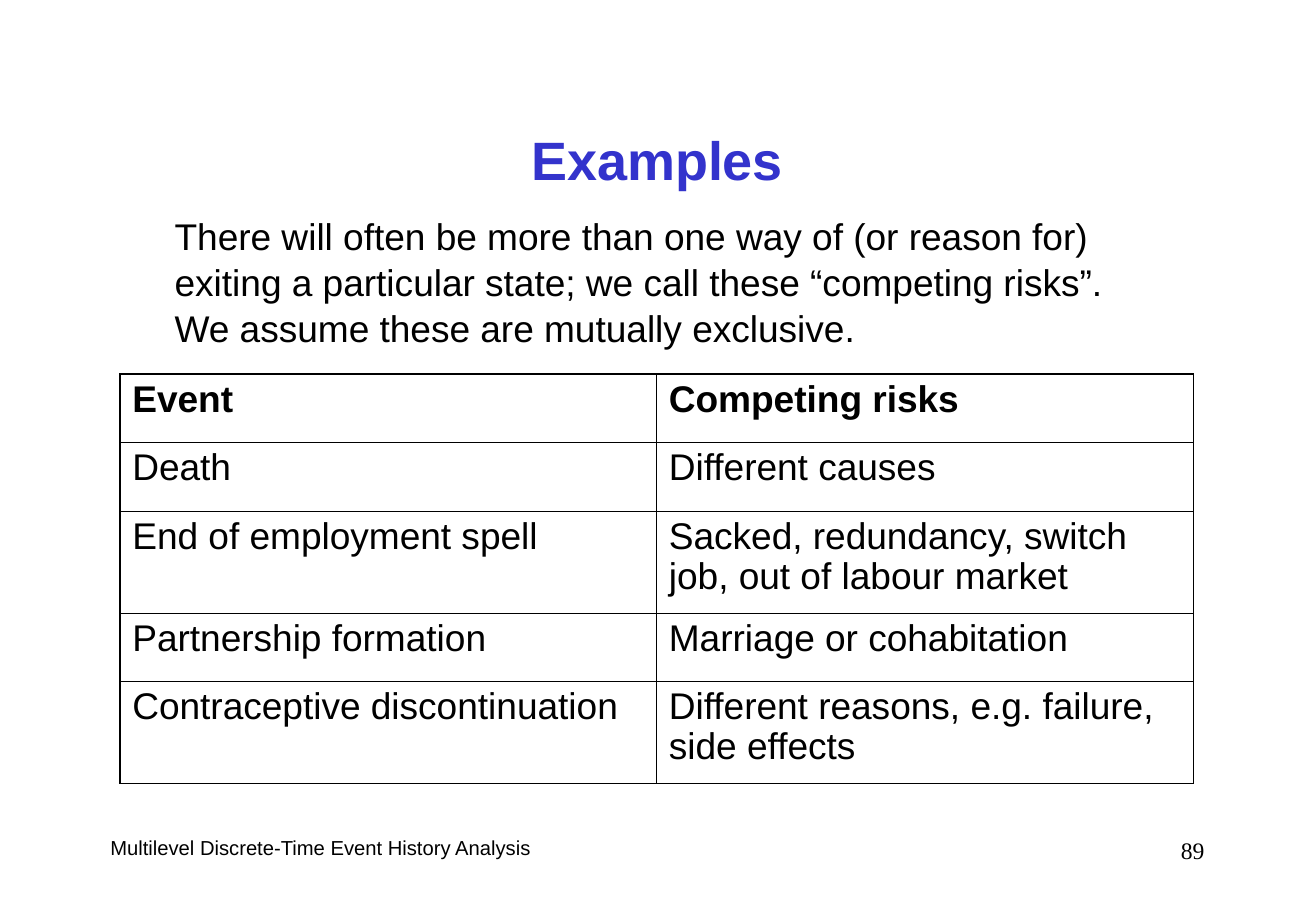
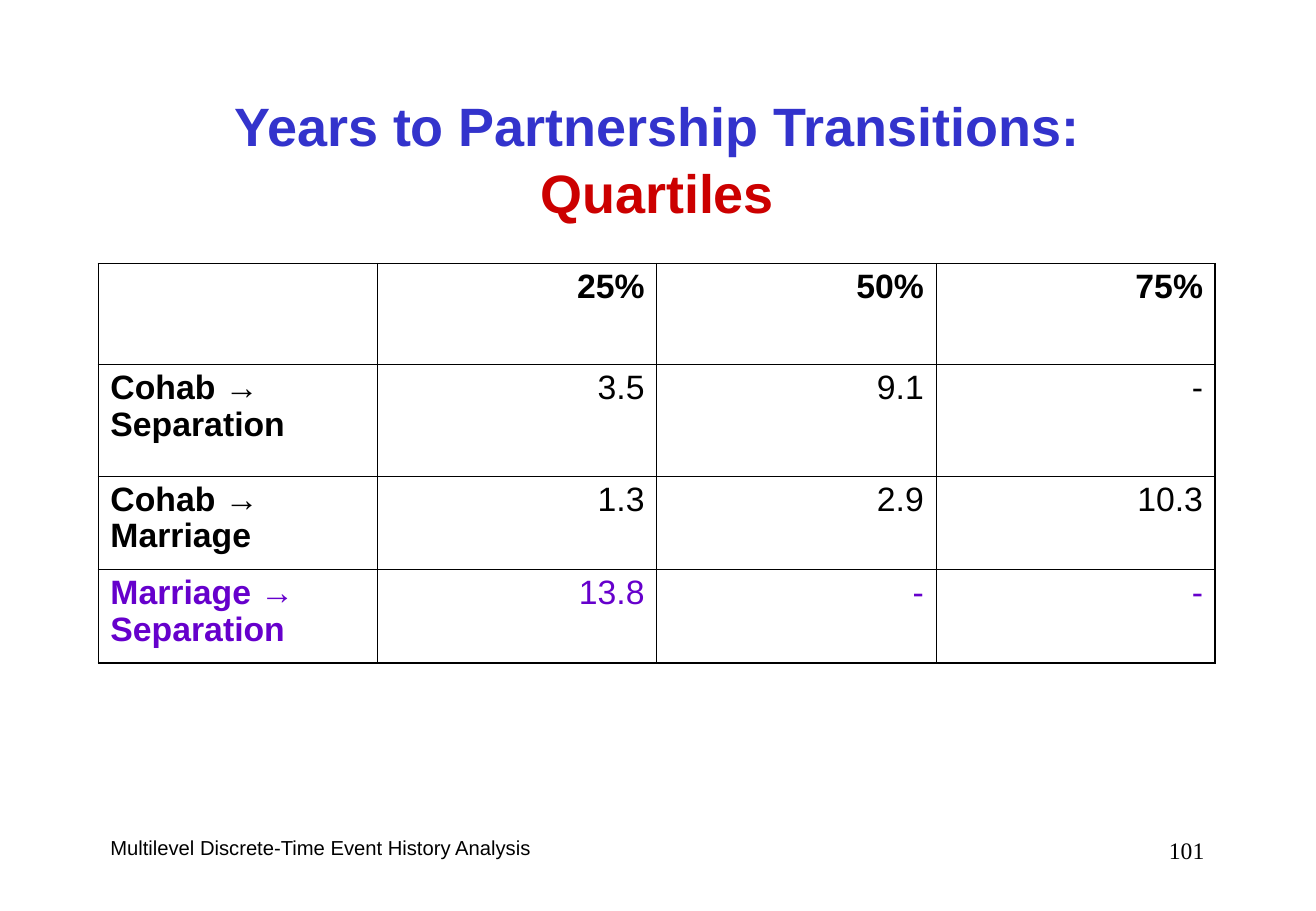
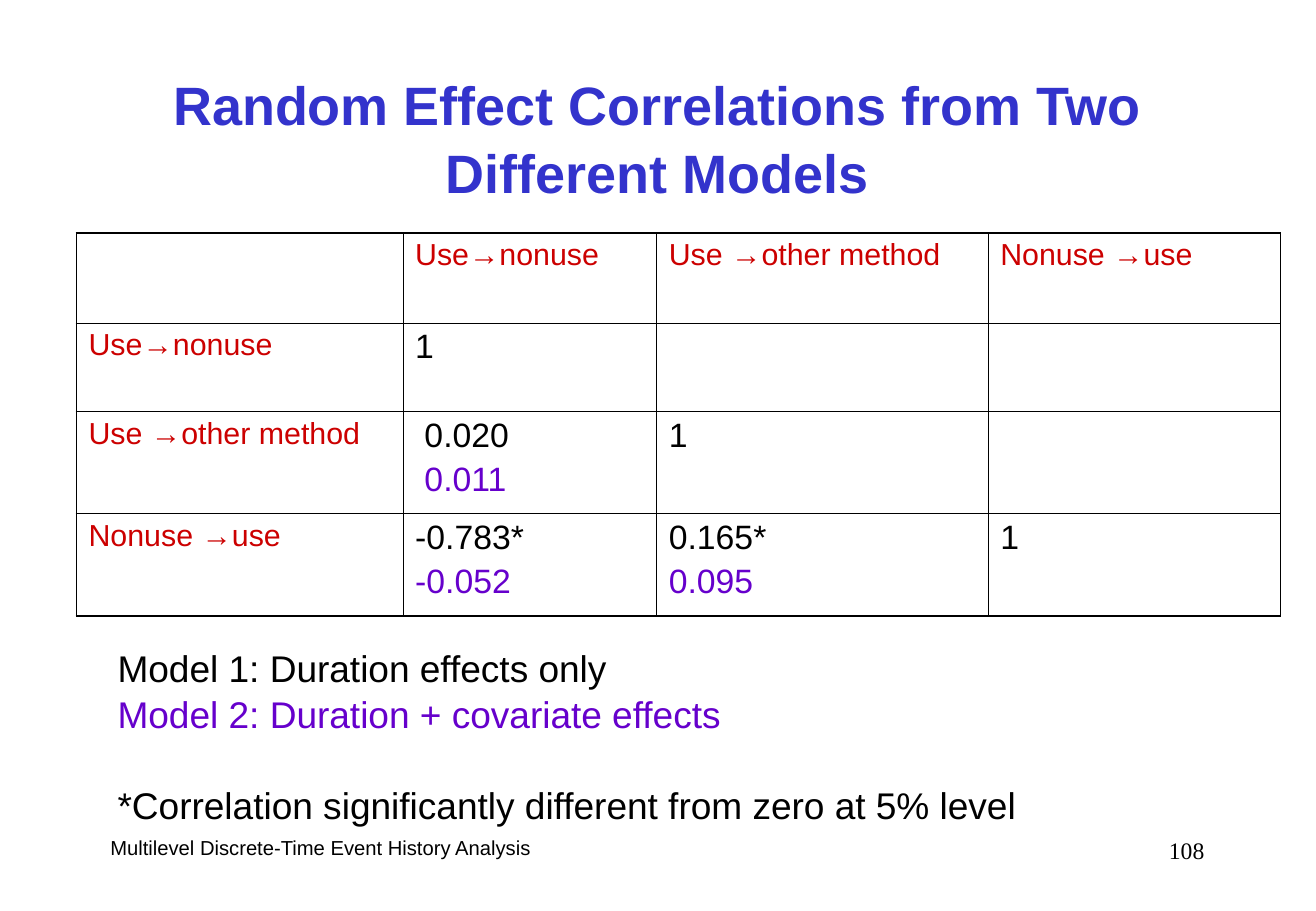
from collections.abc import Callable
from dataclasses import dataclass

from lxml import etree
from pptx import Presentation
from pptx.dml.color import RGBColor
from pptx.enum.text import MSO_ANCHOR, MSO_AUTO_SIZE, PP_ALIGN
from pptx.oxml.ns import qn
from pptx.slide import Slide
from pptx.table import _Cell
from pptx.text.text import TextFrame, _Paragraph
from pptx.util import Inches, Pt

LEFT, CENTER, RIGHT = PP_ALIGN.LEFT, PP_ALIGN.CENTER, PP_ALIGN.RIGHT
MIDDLE = MSO_ANCHOR.MIDDLE
NO_FIT = MSO_AUTO_SIZE.NONE

COLORS = {"black": "000000", "blue": "3333CC", "red": "CC0000", "violet": "6600CC"}
FOOTER = "Multilevel Discrete-Time Event History Analysis"
THIN, THICK = Pt(0.45), Pt(1.08)
TITLE_ONLY = 5


@dataclass(frozen=True)
class Style:
    size: float
    color: str = "black"
    bold: bool = False
    align: PP_ALIGN = LEFT
    font: str = "Arial"
    before: float = 0
    spacing: float = 1.0


@dataclass(frozen=True)
class Line:
    text: str
    style: Style


@dataclass(frozen=True)
class Box:
    left: float
    top: float
    width: float
    height: float

    def emu(self) -> tuple[int, int, int, int]:
        return (Inches(self.left), Inches(self.top),
                Inches(self.width), Inches(self.height))


# Gives the style of a paragraph from its row, column and place in the cell
Look = Callable[[int, int, int], Style]


@dataclass(frozen=True)
class Grid:
    left: float
    top: float
    cols: list[float]
    rows: list[float]
    cells: list[list[str]]
    look: Look


HEAD = Style(32, "blue", True, CENTER, spacing=1.04)
HEAD_RED = Style(32, "red", True, CENTER, spacing=1.04)
BODY = Style(22, spacing=1.04)
BODY_VIOLET = Style(22, "violet", spacing=1.04)
BODY_GAP = Style(22, before=26.4, spacing=1.04)
FOOT = Style(12)
NUMBER = Style(14, align=RIGHT, font="Times New Roman")


# Text
def set_style(para: _Paragraph, style: Style) -> None:
    para.alignment = style.align
    para.space_before = Pt(style.before)
    para.line_spacing = style.spacing
    for run in para.runs:
        font = run.font
        font.name, font.size, font.bold = style.font, Pt(style.size), style.bold
        font.color.rgb = RGBColor.from_string(COLORS[style.color])


def set_lines(frame: TextFrame, lines: list[Line]) -> None:
    frame.text = "\n".join(line.text for line in lines)
    for para, line in zip(frame.paragraphs, lines):
        set_style(para, line.style)


def add_text(slide: Slide, box: Box, lines: list[Line]) -> None:
    frame = slide.shapes.add_textbox(*box.emu()).text_frame
    frame.word_wrap = True
    set_lines(frame, lines)


# Title and footer shared by all slides
def add_slide(prs: Presentation, number: int, title: list[Line],
              top: float = 0.67) -> Slide:
    slide = prs.slides.add_slide(prs.slide_layouts[TITLE_ONLY])
    head = slide.shapes.title
    head.left, head.top, head.width, head.height = Box(0.81, top, 9.21, 1.25).emu()
    frame = head.text_frame
    frame.auto_size, frame.word_wrap = NO_FIT, True
    frame.vertical_anchor = MIDDLE
    set_lines(frame, title)
    add_text(slide, Box(0.81, 6.83, 6.32, 0.5), [Line(FOOTER, FOOT)])
    add_text(slide, Box(7.76, 6.83, 2.26, 0.5), [Line(str(number), NUMBER)])
    return slide


# Tables: thick outer frame, thin inner rules
def set_border(cell: _Cell, outer: dict[str, bool]) -> None:
    props = cell._tc.get_or_add_tcPr()
    for side, thick in outer.items():
        line = etree.SubElement(props, qn(f"a:ln{side}"), w=str(THICK if thick else THIN))
        fill = etree.SubElement(line, qn("a:solidFill"))
        etree.SubElement(fill, qn("a:srgbClr"), val=COLORS["black"])


def add_grid(slide: Slide, grid: Grid) -> None:
    rows, cols = len(grid.rows), len(grid.cols)
    box = Box(grid.left, grid.top, sum(grid.cols), sum(grid.rows))
    table = slide.shapes.add_table(rows, cols, *box.emu()).table
    table.first_row = table.horz_banding = False
    for col, width in zip(table.columns, grid.cols):
        col.width = Inches(width)
    for row, height in zip(table.rows, grid.rows):
        row.height = Inches(height)
    for r, texts in enumerate(grid.cells):
        for c, text in enumerate(texts):
            cell = table.cell(r, c)
            cell.margin_left = cell.margin_right = Inches(0.1)
            cell.margin_top = cell.margin_bottom = Inches(0.05)
            set_border(cell, {"L": c == 0, "R": c == cols - 1,
                              "T": r == 0, "B": r == rows - 1})
            cell.fill.background()
            set_lines(cell.text_frame, [Line(part, grid.look(r, c, i))
                                        for i, part in enumerate(text.split("\n"))])


def risk_look(row: int, col: int, part: int) -> Style:
    return Style(22, bold=row == 0, before=5.5, spacing=0.97)


def year_look(row: int, col: int, part: int) -> Style:
    return Style(20, "violet" if row == 3 else "black", row == 0 or col == 0,
                 RIGHT if col else LEFT, before=5, spacing=0.97)


def model_look(row: int, col: int, part: int) -> Style:
    if row == 0 or col == 0:
        return Style(18, "red", before=4.5, spacing=0.97)
    return Style(20, "violet" if part else "black", before=5, spacing=0.97)


# Slides
def add_risks(prs: Presentation) -> None:
    slide = add_slide(prs, 89, [Line("Examples", HEAD)])
    add_text(slide, Box(1.34, 1.69, 7.93, 1.2), [
        Line("There will often be more than one way of (or reason for)", BODY),
        Line("exiting a particular state; we call these “competing risks”.", BODY),
        Line("We assume these are mutually exclusive.", BODY),
    ])
    add_grid(slide, Grid(0.99, 3.08, [4.42] * 2, [0.56, 0.57, 0.84, 0.56, 0.84], [
        ["Event", "Competing risks"],
        ["Death", "Different causes"],
        ["End of employment spell",
         "Sacked, redundancy, switch job, out of labour market"],
        ["Partnership formation", "Marriage or cohabitation"],
        ["Contraceptive discontinuation",
         "Different reasons, e.g. failure, side effects"],
    ], risk_look))


def add_years(prs: Presentation) -> None:
    slide = add_slide(prs, 101, [Line("Years to Partnership Transitions:", HEAD),
                                 Line("Quartiles", HEAD_RED)])
    add_grid(slide, Grid(0.81, 2.17, [2.3] * 4, [0.83, 0.92, 0.77, 0.77], [
        ["", "25%", "50%", "75%"],
        ["Cohab → Separation", "3.5", "9.1", "-"],
        ["Cohab → Marriage", "1.3", "2.9", "10.3"],
        ["Marriage → Separation", "13.8", "-", "-"],
    ], year_look))


def add_models(prs: Presentation) -> None:
    title = "Random Effect Correlations from Two Different Models"
    slide = add_slide(prs, 108, [Line(title, HEAD)], top=0.5)
    moves = ["Use→nonuse", "Use →other method", "Nonuse →use"]
    values = [["1", "", ""],
              [" 0.020\n 0.011", "1", ""],
              ["-0.783*\n-0.052", "0.165*\n0.095", "1"]]
    cells = [["", *moves]] + [[move, *row] for move, row in zip(moves, values)]
    add_grid(slide, Grid(0.63, 1.92, [2.69, 2.09, 2.73, 2.41],
                         [0.74, 0.73, 0.84, 0.84], cells, model_look))
    add_text(slide, Box(0.87, 5.25, 7.61, 1.57), [
        Line("Model 1: Duration effects only", BODY),
        Line("Model 2: Duration + covariate effects", BODY_VIOLET),
        Line("*Correlation significantly different from zero at 5% level", BODY_GAP),
    ])


def main() -> None:
    prs = Presentation()
    prs.slide_width, prs.slide_height = Inches(10.84), Inches(7.5)
    add_risks(prs)
    add_years(prs)
    add_models(prs)
    prs.save("out.pptx")


if __name__ == "__main__":
    main()
